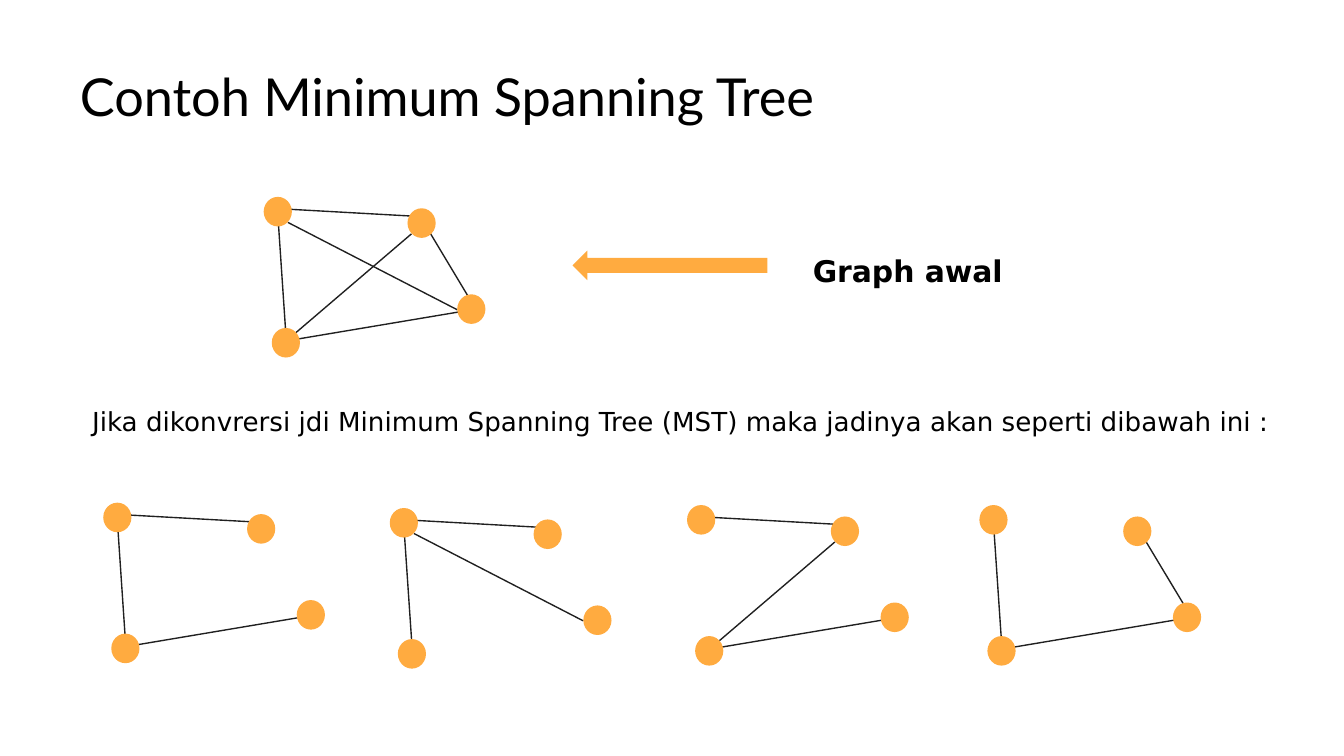
from dataclasses import dataclass

from lxml import etree
from pptx import Presentation
from pptx.dml.color import RGBColor
from pptx.enum.shapes import MSO_CONNECTOR, MSO_SHAPE
from pptx.enum.text import MSO_ANCHOR, MSO_AUTO_SIZE, PP_ALIGN
from pptx.oxml.ns import qn
from pptx.util import Inches, Pt

OVAL, LEFT_ARROW = MSO_SHAPE.OVAL, MSO_SHAPE.LEFT_ARROW
STRAIGHT = MSO_CONNECTOR.STRAIGHT
LEFT, CENTER = PP_ALIGN.LEFT, PP_ALIGN.CENTER
TOP, MIDDLE = MSO_ANCHOR.TOP, MSO_ANCHOR.MIDDLE
NO_FIT = MSO_AUTO_SIZE.NONE

# The 16:9 slide is a grid of 100 columns and 56.25 rows
COLS, ROWS = 100, 56.25
CELL = Inches(0.1)


@dataclass(frozen=True)
class Theme:
    accent: RGBColor = RGBColor(0xFF, 0xAB, 0x40)
    edge: RGBColor = RGBColor(0x20, 0x20, 0x20)
    text: RGBColor = RGBColor(0, 0, 0)
    title_font: str = "Lato"
    body_font: str = "DejaVu Sans"
    title_size: int = 28
    label_size: int = 16
    body_size: int = 14
    edge_width: float = 0.75


@dataclass(frozen=True)
class Graph:
    col: float
    row: float
    edges: tuple[str, ...]


THEME = Theme()
NODE_W, NODE_H = 2.1, 2.2

# Node corners and edge ends, in cells from the graph's corner
NODES = {"A": (0, 0), "B": (10.7, 0.85), "C": (0.6, 9.75), "D": (14.4, 7.25)}
EDGES = {
    "AB": (1.5, 0.9, 11.4, 1.45),
    "AC": (1.05, 1.3, 1.65, 10.2),
    "CD": (2.1, 10.65, 15.2, 8.45),
    "BD": (12, 2.05, 15.9, 8.55),
    "BC": (2.4, 10.1, 11, 2.75),
    "AD": (1.8, 1.9, 14.4, 8.4),
}
GRAPHS = (
    Graph(19.62, 14.65, tuple(EDGES)),
    Graph(7.68, 37.4, ("AB", "AC", "CD")),
    Graph(29, 37.8, ("AB", "AC", "AD")),
    Graph(51.12, 37.58, ("AB", "CD", "BC")),
    Graph(72.87, 37.58, ("AC", "CD", "BD")),
)


def cells(*values: float) -> list[int]:
    return [round(v * CELL) for v in values]


def write(tf, text: str, *, size: int, font: str, bold: bool = False,
          align=LEFT, anchor=TOP, spacing: float = 1) -> None:
    tf.word_wrap = True
    tf.auto_size = NO_FIT
    tf.vertical_anchor = anchor
    p = tf.paragraphs[0]
    p.alignment, p.line_spacing = align, spacing
    r = p.add_run()
    r.text = text
    f = r.font
    f.name, f.size, f.bold = font, Pt(size), bold
    f.color.rgb = THEME.text


def add_solid(shapes, kind, col: float, row: float, w: float, h: float) -> None:
    sp = shapes.add_shape(kind, *cells(col, row, w, h))
    sp.shadow.inherit = False
    sp.fill.solid()
    sp.fill.fore_color.rgb = THEME.accent
    sp.line.fill.background()


def add_edge(shapes, x1: float, y1: float, x2: float, y2: float) -> None:
    line = shapes.add_connector(STRAIGHT, *cells(x1, y1, x2, y2))
    line.line.color.rgb = THEME.edge
    line.line.width = Pt(THEME.edge_width)
    etree.SubElement(line._element.spPr, qn("a:effectLst"))


def add_graph(s, graph: Graph) -> None:
    shapes = s.shapes.add_group_shape().shapes
    for name in graph.edges:
        x1, y1, x2, y2 = EDGES[name]
        add_edge(shapes, graph.col + x1, graph.row + y1,
                 graph.col + x2, graph.row + y2)
    for x, y in NODES.values():
        add_solid(shapes, OVAL, graph.col + x, graph.row + y, NODE_W, NODE_H)


def main() -> None:
    prs = Presentation()
    prs.slide_width, prs.slide_height = cells(COLS, ROWS)
    s = prs.slides.add_slide(prs.slide_layouts[5])

    # Title
    title = s.shapes.title
    title.left, title.top, title.width, title.height = cells(4.95, 4.5, 84.5, 5.3)
    write(title.text_frame, "Contoh Minimum Spanning Tree", anchor=MIDDLE,
          size=THEME.title_size, font=THEME.title_font)

    # Starting graph and its spanning trees
    for graph in GRAPHS:
        add_graph(s, graph)

    # Arrow and label of the starting graph
    add_solid(s.shapes, LEFT_ARROW, 42.6, 18.65, 14.5, 2.2)
    label = s.shapes.add_textbox(*cells(58.8, 17, 17.5, 4.5))
    write(label.text_frame, "Graph awal", size=THEME.label_size,
          font=THEME.body_font, bold=True, align=CENTER, spacing=1.5)

    # Sentence above the trees
    sentence = s.shapes.add_textbox(*cells(5.87, 28.5, 89.7, 7.6))
    write(sentence.text_frame,
          "Jika dikonvrersi jdi Minimum Spanning Tree (MST) maka jadinya "
          "akan seperti dibawah ini :",
          size=THEME.body_size, font=THEME.body_font, spacing=1.5)

    prs.save("out.pptx")


if __name__ == "__main__":
    main()
